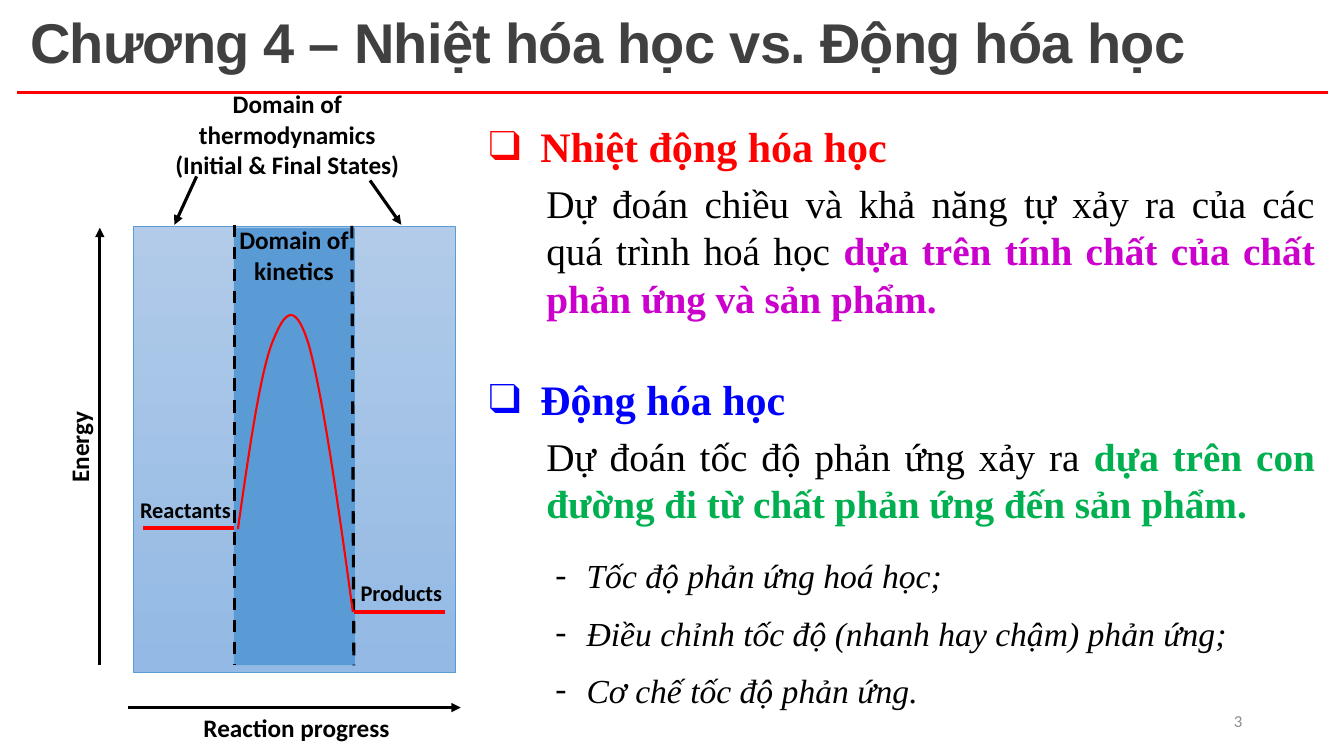
from lxml import etree
from pptx import Presentation
from pptx.dml.color import RGBColor
from pptx.enum import dml, shapes, text
from pptx.oxml import ns
from pptx.util import Inches, Pt

COLORS = {
    "black": "000000", "red": "FF0000", "blue": "0000FF", "green": "00B050",
    "purple": "CC00CC", "title": "404040", "number": "8C8C8C",
    "kinetics": "5B9BD5", "domain_top": "B1CBE9", "domain_bottom": "93B9E4",
}
SERIF = "Times New Roman"
CENTER, RIGHT, JUSTIFY = text.PP_ALIGN.CENTER, text.PP_ALIGN.RIGHT, text.PP_ALIGN.JUSTIFY


def color(name):
    return RGBColor.from_string(COLORS[name])


def add_box(slide, left, top, width, height, wrap=True):
    box = slide.shapes.add_textbox(Inches(left), Inches(top), Inches(width), Inches(height))
    box.text_frame.word_wrap = wrap
    return box


def next_paragraph(frame):
    first = frame.paragraphs[0]
    return frame.add_paragraph() if first.runs else first


def add_run(paragraph, words, size, font="Calibri", ink="black", bold=False, italic=False):
    run = paragraph.add_run()
    run.text = words
    run.font.size = Pt(size)
    run.font.name = font
    run.font.bold = bold
    run.font.italic = italic
    run.font.color.rgb = color(ink)
    return run


def indent(paragraph, margin, first=0.0, bullet=None):
    properties = paragraph._p.get_or_add_pPr()
    properties.set("marL", str(Inches(margin)))
    properties.set("indent", str(Inches(first)))
    if bullet:
        etree.SubElement(properties, ns.qn("a:buFont")).set("typeface", SERIF)
        etree.SubElement(properties, ns.qn("a:buChar")).set("char", bullet)


def add_label(slide, place, lines, size=18, wrap=False, align=None):
    box = add_box(slide, *place, wrap=wrap)
    for line in lines:
        paragraph = next_paragraph(box.text_frame)
        paragraph.alignment = align
        add_run(paragraph, line, size, bold=True)
    return box


def add_line(slide, start, end, ink="black", width=2.25, dashed=False, arrow=False):
    line = slide.shapes.add_connector(
        shapes.MSO_CONNECTOR.STRAIGHT, *(Inches(value) for value in start + end))
    line.line.color.rgb = color(ink)
    line.line.width = Pt(width)
    if dashed:
        line.line.dash_style = dml.MSO_LINE.DASH
    if arrow:
        outline = line.line._get_or_add_ln()
        etree.SubElement(outline, ns.qn("a:tailEnd")).set("type", "triangle")
    etree.SubElement(line._element.spPr, ns.qn("a:effectLst"))


def add_rectangle(slide, left, top, width, height):
    shape = slide.shapes.add_shape(
        shapes.MSO_SHAPE.RECTANGLE, Inches(left), Inches(top), Inches(width), Inches(height))
    shape.shadow.inherit = False
    return shape


def add_domains(slide):
    thermodynamics = add_rectangle(slide, 1.32, 2.25, 3.2, 4.42)
    thermodynamics.fill.gradient()
    thermodynamics.fill.gradient_angle = 270
    for stop, name in zip(thermodynamics.fill.gradient_stops, ("domain_top", "domain_bottom")):
        stop.color.rgb = color(name)
    for stop, position in zip(thermodynamics.fill.gradient_stops, (0, 1)):
        stop.position = position
    thermodynamics.line.color.rgb = color("kinetics")
    thermodynamics.line.width = Pt(0.5)

    kinetics = add_rectangle(slide, 2.32, 2.26, 1.2, 4.34)
    kinetics.fill.solid()
    kinetics.fill.fore_color.rgb = color("kinetics")
    kinetics.line.fill.background()


def bezier(points, t):
    weights = ((1 - t) ** 3, 3 * t * (1 - t) ** 2, 3 * t ** 2 * (1 - t), t ** 3)
    return tuple(Inches(sum(w * point[axis] for w, point in zip(weights, points)))
                 for axis in (0, 1))


def add_energy_curve(slide):
    knots = [(2.36, 5.25), (2.47, 4.48), (2.58, 3.71), (2.7, 3.4), (2.82, 3.1),
             (2.92, 2.97), (3.06, 3.41), (3.19, 3.86), (3.35, 4.96), (3.5, 6.07)]
    steps = 20
    points = [bezier(knots[start:start + 4], step / steps)
              for start in range(0, len(knots) - 1, 3) for step in range(1, steps + 1)]
    builder = slide.shapes.build_freeform(Inches(knots[0][0]), Inches(knots[0][1]))
    builder.add_line_segments(points, close=False)
    curve = builder.convert_to_shape()
    curve.shadow.inherit = False
    curve.fill.background()
    curve.line.color.rgb = color("red")
    curve.line.width = Pt(1.5)


def add_diagram(slide):
    add_label(slide, (1.56, 0.83, 2.58, 1.01),
              ["Domain of thermodynamics (Initial & Final States)"], wrap=True, align=CENTER)
    add_label(slide, (1.92, 7.02, 2.06, 0.4), ["Reaction progress"])
    add_domains(slide)
    add_line(slide, (2.33, 2.23), (2.33, 6.6), dashed=True)
    add_line(slide, (3.49, 2.24), (3.51, 6.6), dashed=True)
    for left, level in ((1.42, 5.24), (3.51, 6.07)):
        add_line(slide, (left, level), (left + 0.9, level), "red", 3)
    for start, end in (((1.27, 7.02), (4.57, 7.02)), ((0.99, 6.6), (0.99, 2.26)),
                       ((1.95, 1.75), (1.73, 2.23)), ((3.67, 1.79), (3.98, 2.23))):
        add_line(slide, start, end, arrow=True)
    add_label(slide, (0.33, 4.23, 0.91, 0.4), ["Energy"]).rotation = 270
    add_label(slide, (2.22, 2.18, 1.39, 0.71), ["Domain of", "kinetics"], wrap=True, align=CENTER)
    add_energy_curve(slide)
    add_label(slide, (1.29, 4.87, 1.11, 0.37), ["Reactants"], size=16)
    add_label(slide, (3.47, 5.7, 1.02, 0.37), ["Products"], size=16, align=CENTER)


def add_topic(slide, top, height, heading, heading_ink, opening, emphasis, emphasis_ink):
    frame = add_box(slide, 4.32, top, 8.82, height).text_frame
    paragraph = next_paragraph(frame)
    indent(paragraph, 0.94, -0.51, "❑")
    paragraph.space_after = Pt(6)
    add_run(paragraph, heading, 30, SERIF, heading_ink, bold=True)
    paragraph = next_paragraph(frame)
    indent(paragraph, 1)
    paragraph.level = 1
    paragraph.alignment = JUSTIFY
    add_run(paragraph, opening, 28, SERIF)
    add_run(paragraph, emphasis, 28, SERIF, emphasis_ink, bold=True)


def add_kinetics_list(slide, items):
    frame = add_box(slide, 5.41, 5.46, 7.04, 1.65, wrap=False).text_frame
    for item in items:
        paragraph = next_paragraph(frame)
        indent(paragraph, 0.31, -0.31, "-")
        paragraph.space_after = Pt(0 if item == items[-1] else 12)
        add_run(paragraph, item, 24, SERIF, italic=True)


def add_title(slide, words):
    paragraph = add_box(slide, 0.2, 0.13, 12.77, 0.64).text_frame.paragraphs[0]
    paragraph.line_spacing = 0.85
    run = add_run(paragraph, words, 40, "Arial", "title", bold=True)
    run._r.get_or_add_rPr().set("spc", "-50")
    add_line(slide, (0.17, 0.92), (13.17, 0.92), "red")


def add_slide_number(slide, number):
    frame = add_box(slide, 9.42, 6.95, 3, 0.4).text_frame
    frame.vertical_anchor = text.MSO_ANCHOR.MIDDLE
    frame.paragraphs[0].alignment = RIGHT
    add_run(frame.paragraphs[0], number, 12, ink="number")


def main():
    presentation = Presentation()
    presentation.slide_width = Inches(13.33)
    presentation.slide_height = Inches(7.5)
    slide = presentation.slides.add_slide(presentation.slide_layouts[6])
    add_slide_number(slide, "3")
    add_topic(slide, 1.15, 2.19, "Nhiệt động hóa học", "red",
              "Dự đoán chiều và khả năng tự xảy ra của các quá trình hoá học ",
              "dựa trên tính chất của chất phản ứng và sản phẩm.", "purple")
    add_topic(slide, 3.66, 1.69, "Động hóa học", "blue",
              "Dự đoán tốc độ phản ứng xảy ra ",
              "dựa trên con đường đi từ chất phản ứng đến sản phẩm.", "green")
    add_diagram(slide)
    add_kinetics_list(slide, ["Tốc độ phản ứng hoá học;",
                              "Điều chỉnh tốc độ (nhanh hay chậm) phản ứng;",
                              "Cơ chế tốc độ phản ứng."])
    add_title(slide, "Chương 4 – Nhiệt hóa học vs. Động hóa học")
    presentation.save("out.pptx")


if __name__ == "__main__":
    main()
